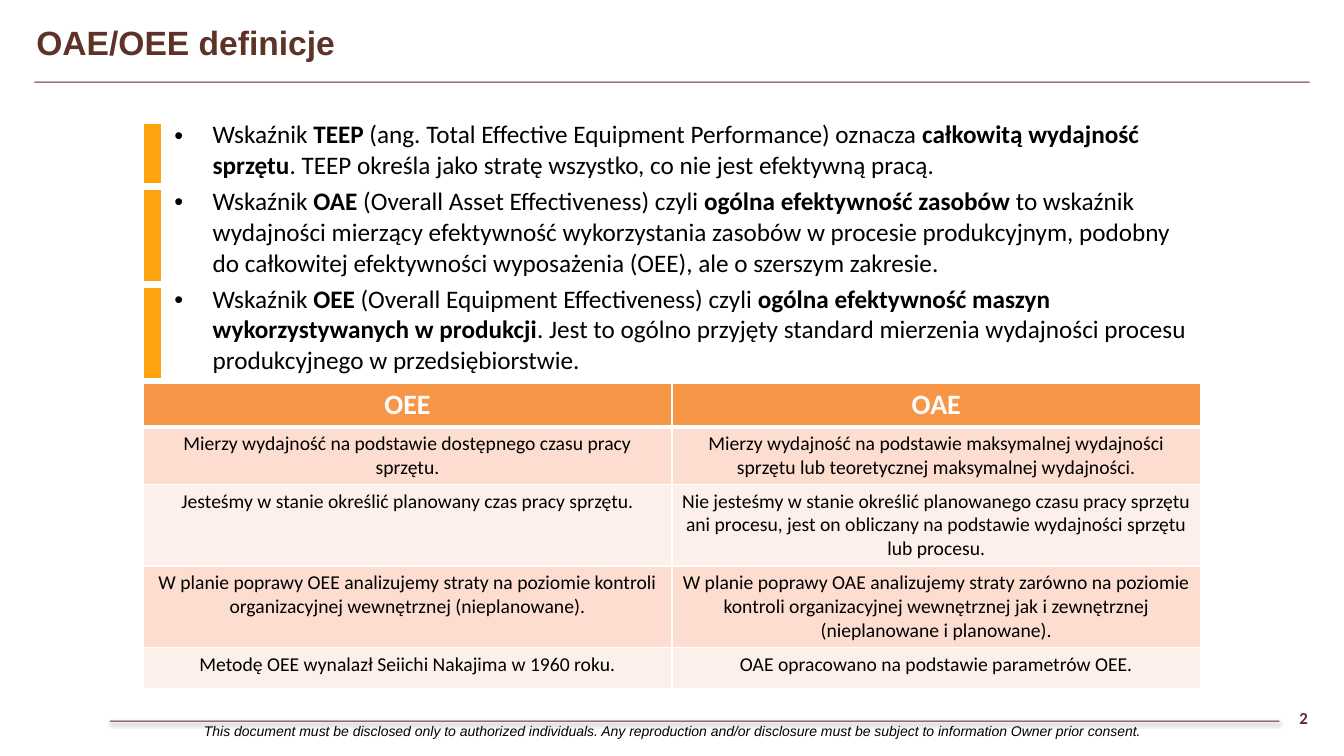
from lxml import etree
from pptx import Presentation
from pptx.dml.color import RGBColor
from pptx.enum.shapes import MSO_SHAPE
from pptx.enum.text import MSO_ANCHOR, PP_ALIGN
from pptx.oxml import parse_xml
from pptx.oxml.ns import nsdecls, qn
from pptx.util import Inches, Pt

CENTER, LEFT = PP_ALIGN.CENTER, PP_ALIGN.LEFT
MIDDLE = MSO_ANCHOR.MIDDLE
RECTANGLE = MSO_SHAPE.RECTANGLE

COLORS = {
    "black": "000000", "white": "FFFFFF", "rule": "552C22", "title": "5D3327",
    "number": "572D25", "marker": "FEA30D", "header": "F79646",
    "band_dark": "FCDDCF", "band_light": "FDEFE9",
}

prs = Presentation()
prs.slide_width, prs.slide_height = Inches(13.33), Inches(7.5)
slide = prs.slides.add_slide(prs.slide_layouts[6])
# One percent of the slide's width and height
COL, ROW = prs.slide_width / 100, prs.slide_height / 100


def style_text(paragraph, size, color, font="Calibri", bold=None, align=LEFT):
    """Format every run; bold=None keeps the weight each run already has."""
    paragraph.alignment = align
    for run in paragraph.runs:
        run.font.size, run.font.name = Pt(size), font
        run.font.color.rgb = RGBColor.from_string(COLORS[color])
        if bold is not None:
            run.font.bold = bold


def style_cell(cell, fill, top, bottom, sides):
    """Draw white borders of the given point widths, then fill the cell."""
    properties = cell._tc.get_or_add_tcPr()
    for edge, width in zip(("lnL", "lnR", "lnT", "lnB"), (sides, sides, top, bottom)):
        properties.append(parse_xml(
            f'<a:{edge} {nsdecls("a")} w="{Pt(width)}"><a:solidFill>'
            f'<a:srgbClr val="{COLORS["white"]}"/></a:solidFill></a:{edge}>'))
    if fill:
        cell.fill.solid()
        cell.fill.fore_color.rgb = RGBColor.from_string(COLORS[fill])
    else:
        cell.fill.background()


# Footer and header rules with a soft shadow below
for left, top, width in ((8.18, 95.33, 87.02), (2.55, 10.8, 94.9)):
    rule = slide.shapes.add_shape(
        RECTANGLE, int(left * COL), int(top * ROW), int(width * COL), int(0.13 * ROW))
    rule.fill.solid()
    rule.fill.fore_color.rgb = RGBColor.from_string(COLORS["rule"])
    rule.line.fill.background()
    rule._element.spPr.append(parse_xml(
        f'<a:effectLst {nsdecls("a")}><a:outerShdw blurRad="{Pt(3.1)}" dist="{Pt(1.8)}" '
        f'dir="5400000" rotWithShape="0"><a:srgbClr val="{COLORS["black"]}">'
        '<a:alpha val="35000"/></a:srgbClr></a:outerShdw></a:effectLst>'))

# Footer, page number and title
footer = slide.shapes.add_textbox(0, int(94.93 * ROW), prs.slide_width, int(3.6 * ROW))
footer.text_frame.word_wrap = True
footer.text_frame.text = (
    "This document must be disclosed only to authorized individuals. Any reproduction "
    "and/or disclosure must be subject to information Owner prior consent.")
footer_line = footer.text_frame.paragraphs[0]
style_text(footer_line, 10, "black", "Arial", align=CENTER)
footer_line.runs[0].font.italic = True

page_number = slide.shapes.add_textbox(
    int(94.82 * COL), int(92.27 * ROW), int(4.35 * COL), int(5.33 * ROW))
page_number.text_frame.word_wrap = True
page_number.text_frame.vertical_anchor = MIDDLE
page_number.text_frame.text = "2"
style_text(page_number.text_frame.paragraphs[0], 12, "number", bold=True, align=CENTER)

title = slide.shapes.add_textbox(
    int(2.7 * COL), int(1.07 * ROW), int(82.67 * COL), int(8.93 * ROW))
title.text_frame.word_wrap = True
title.text_frame.vertical_anchor = MIDDLE
title.text_frame.margin_left = 0
title.text_frame.text = "OAE/OEE definicje"
style_text(title.text_frame.paragraphs[0], 24, "title", "Arial", bold=True)

# Definitions: empty column, coloured marker, bulleted text; ** encloses bold words
DEFINITIONS = (
    "Wskaźnik **TEEP** (ang. Total Effective Equipment Performance) oznacza "
    "**całkowitą wydajność sprzętu**. TEEP określa jako stratę wszystko, co nie jest "
    "efektywną pracą.",
    "Wskaźnik** OAE** (Overall Asset Effectiveness) czyli **ogólna efektywność zasobów** "
    "to wskaźnik wydajności mierzący efektywność wykorzystania zasobów w procesie "
    "produkcyjnym, podobny do całkowitej efektywności wyposażenia (OEE), ale o szerszym "
    "zakresie.",
    "Wskaźnik** OEE** (Overall Equipment Effectiveness) czyli **ogólna efektywność maszyn "
    "wykorzystywanych w produkcji**. Jest to ogólno przyjęty standard mierzenia wydajności "
    "procesu produkcyjnego w przedsiębiorstwie.",
)
definition_heights = (8.8, 12.93, 12.93)
definitions = slide.shapes.add_table(
    3, 3, int(1.95 * COL), int(15.87 * ROW), int(87.02 * COL),
    int(sum(definition_heights) * ROW)).table
definitions.first_row = definitions.horz_banding = False
for column, width in zip(definitions.columns, (8.48, 1.65, 76.89)):
    column.width = int(width * COL)
for row, height, definition in zip(definitions.rows, definition_heights, DEFINITIONS):
    row.height = int(height * ROW)
    for cell, fill in zip(row.cells, (None, "marker", None)):
        style_cell(cell, fill, 6, 6, 6)
    text_cell = row.cells[2]
    text_cell.margin_top = 0
    paragraph = text_cell.text_frame.paragraphs[0]
    for position, words in enumerate(definition.split("**")):
        run = paragraph.add_run()
        run.text = words
        run.font.bold = position % 2 == 1
    style_text(paragraph, 18, "black")
    paragraph.space_after = Pt(5.3)
    bullet = paragraph._p.get_or_add_pPr()
    bullet.set("marL", str(Inches(0.38)))
    bullet.set("indent", str(-Inches(0.38)))
    etree.SubElement(bullet, qn("a:buFont")).set("typeface", "Arial")
    etree.SubElement(bullet, qn("a:buChar")).set("char", "•")

# Comparison of both indicators
COMPARISON = (
    ("OEE", "OAE"),
    ("Mierzy wydajność na podstawie dostępnego czasu pracy sprzętu.",
     "Mierzy wydajność na podstawie maksymalnej wydajności sprzętu lub teoretycznej "
     "maksymalnej wydajności."),
    ("Jesteśmy w stanie określić planowany czas pracy sprzętu.",
     "Nie jesteśmy w stanie określić planowanego czasu pracy sprzętu ani procesu, jest on "
     "obliczany na podstawie wydajności sprzętu lub procesu."),
    ("W planie poprawy OEE analizujemy straty na poziomie kontroli organizacyjnej "
     "wewnętrznej (nieplanowane).",
     "W planie poprawy OAE analizujemy straty zarówno na poziomie kontroli organizacyjnej "
     "wewnętrznej jak i zewnętrznej (nieplanowane i planowane)."),
    ("Metodę OEE wynalazł Seiichi Nakajima w 1960 roku.",
     "OAE opracowano na podstawie parametrów OEE."),
)
comparison_heights = (5.8, 7.6, 10.8, 10.8, 5.47)
comparison = slide.shapes.add_table(
    5, 2, int(10.65 * COL), int(50.67 * ROW), int(78.69 * COL),
    int(sum(comparison_heights) * ROW)).table
comparison.horz_banding = False
for index, (row, height, texts) in enumerate(
        zip(comparison.rows, comparison_heights, COMPARISON)):
    row.height = int(height * ROW)
    is_header = index == 0
    fill = "header" if is_header else ("band_light", "band_dark")[index % 2]
    for cell, text in zip(row.cells, texts):
        style_cell(cell, fill, 3 if index == 1 else 1, 3 if is_header else 1, 1)
        cell.text_frame.text = text
        style_text(cell.text_frame.paragraphs[0], 20 if is_header else 14,
                   "white" if is_header else "black", bold=is_header, align=CENTER)

prs.save("out.pptx")
